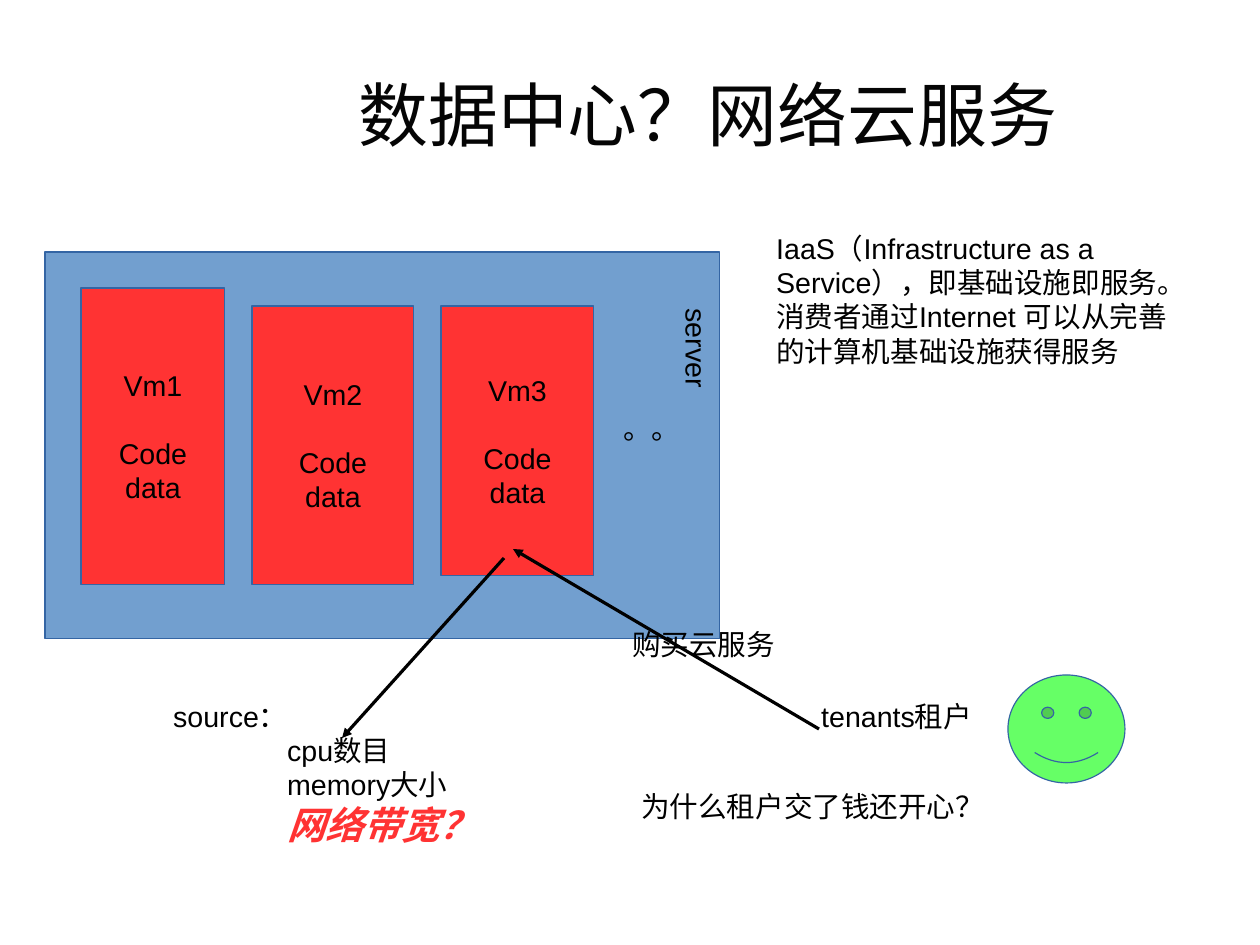
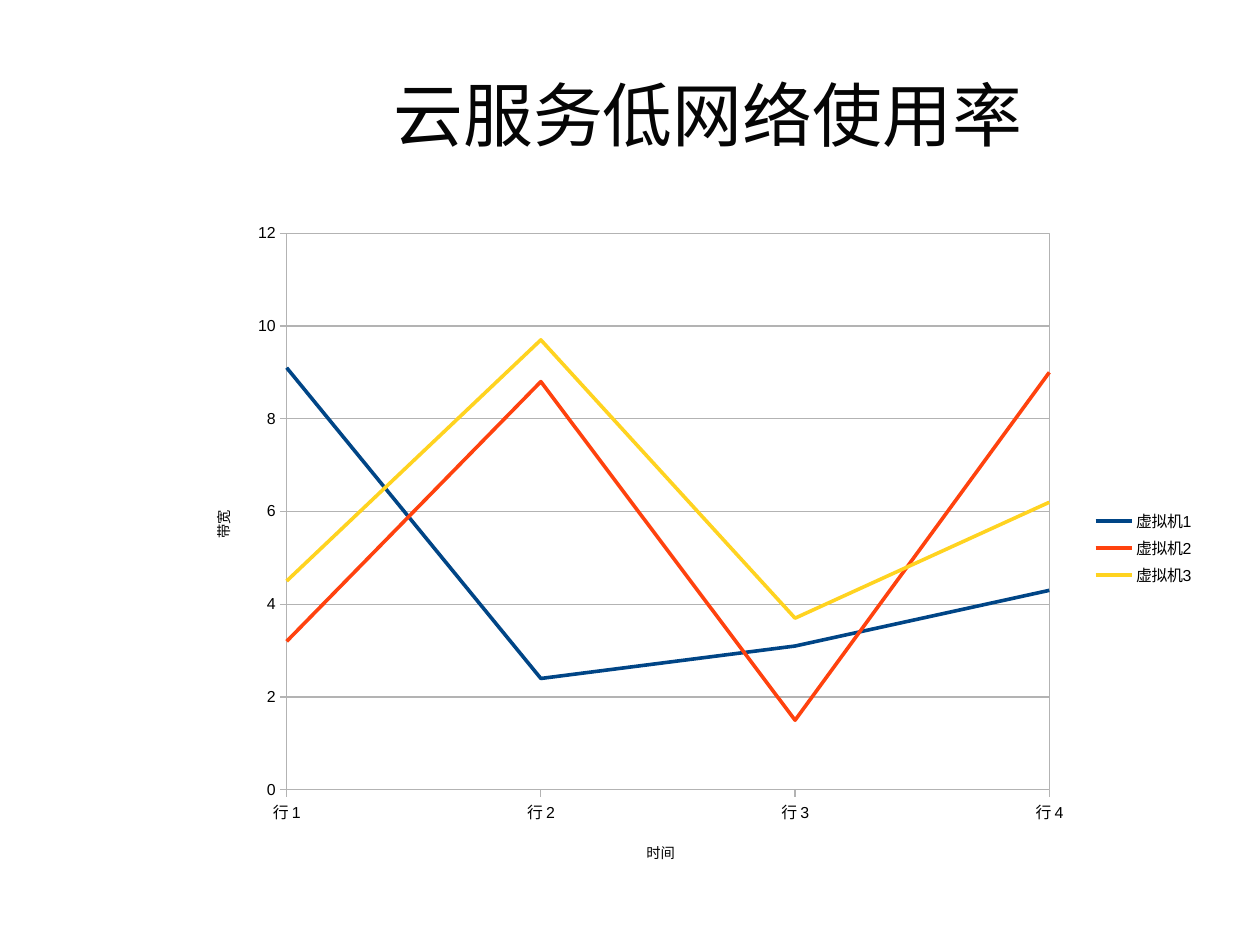
import lxml.etree
import pptx
import pptx.chart.data
import pptx.dml.color
import pptx.enum.chart
import pptx.enum.shapes
import pptx.enum.text
import pptx.oxml
import pptx.oxml.ns
import pptx.util

RGB = pptx.dml.color.RGBColor
Pt = pptx.util.Pt
qn = pptx.oxml.ns.qn
ALIGN = pptx.enum.text.PP_ALIGN
ANCHOR = pptx.enum.text.MSO_ANCHOR
SHAPE = pptx.enum.shapes.MSO_SHAPE

PX = 8000  # EMU per px, 45 px to the centimetre
BLACK = RGB(0x00, 0x00, 0x00)
TITLE_INK = RGB(0x05, 0x05, 0x05)
SERVER_BLUE = RGB(0x72, 0x9F, 0xCF)
OUTLINE = RGB(0x34, 0x65, 0xA4)
RED = RGB(0xFF, 0x33, 0x33)
GREEN = RGB(0x66, 0xFF, 0x66)
GRID = RGB(0xB3, 0xB3, 0xB3)
TITLE_FONT = "Times New Roman"
BODY_FONT = "Arial"
TITLES = ["数据中心？网络云服务", "云服务低网络使用率"]


def add_text(slide, box, text, size=18, color=BLACK, font=BODY_FONT):
    frame = slide.shapes.add_textbox(*[n * PX for n in box]).text_frame
    frame.word_wrap = True
    frame.text = text
    for paragraph in frame.paragraphs:
        for run in paragraph.runs:
            run.font.size, run.font.name = Pt(size), font
            run.font.color.rgb = color
    return frame


def add_filled(slide, kind, box, fill):
    shape = slide.shapes.add_shape(kind, *[n * PX for n in box])
    shape.shadow.inherit = False
    shape.fill.solid()
    shape.fill.fore_color.rgb = fill
    shape.line.color.rgb = OUTLINE
    return shape


prs = pptx.Presentation()
prs.slide_width, prs.slide_height = 1260 * PX, 945 * PX

# Both slides with their titles
slides = []
for title in TITLES:
    slide = prs.slides.add_slide(prs.slide_layouts[6])
    heading = add_text(slide, (202, 36, 1012, 155), title, 44, TITLE_INK, TITLE_FONT)
    heading.margin_left = heading.margin_right = 0
    heading.margin_top = heading.margin_bottom = 0
    heading.vertical_anchor = ANCHOR.MIDDLE
    heading.paragraphs[0].alignment = ALIGN.CENTER
    slides.append(slide)
cloud, usage = slides

# Server with its virtual machines
add_filled(cloud, SHAPE.RECTANGLE, (45, 252, 675, 387), SERVER_BLUE)
machines = [(81, 288, 144, 297), (252, 306, 162, 279), (441, 306, 153, 270)]
for number, box in enumerate(machines, 1):
    frame = add_filled(cloud, SHAPE.RECTANGLE, box, RED).text_frame
    frame.word_wrap = False
    frame.vertical_anchor = ANCHOR.MIDDLE
    frame.text = f"Vm{number}\nCode\ndata"
    for paragraph in frame.paragraphs:
        paragraph.alignment = ALIGN.CENTER
        font = paragraph.runs[0].font
        font.size, font.name = Pt(18), BODY_FONT
        font.color.rgb = BLACK
    frame.paragraphs[1].space_before = Pt(21)

# Sideways label, its margins turned with the text
server_label = add_text(cloud, (639, 297, 81, 216), "server")
server_label._txBody.bodyPr.set("vert", "vert")
server_label.margin_left = server_label.margin_right = Pt(3.6)
server_label.margin_top = server_label.margin_bottom = Pt(7.2)
add_text(cloud, (612, 405, 108, 54), "。。")

# Explanation and tenant
add_text(cloud, (765, 225, 441, 180),
         "IaaS（Infrastructure as a Service），即基础设施即服务。\n"
         "消费者通过Internet 可以从完善的计算机基础设施获得服务")
add_text(cloud, (810, 693, 189, 54), "tenants租户")
add_filled(cloud, SHAPE.SMILEY_FACE, (1008, 675, 117, 108), GREEN)

# Resources of a machine, indented under their heading
resources = add_text(cloud, (162, 693, 558, 194),
                     "source：\ncpu数目\nmemory大小\n网络带宽？")
for paragraph in resources.paragraphs[1:]:
    paragraph._p.get_or_add_pPr().set("marL", str(114 * PX))
bandwidth = resources.paragraphs[-1].runs[0].font
bandwidth.size = Pt(24)
bandwidth.bold = bandwidth.italic = True
bandwidth.color.rgb = RED

# Hairline arrows: tenant to machine, machine to resources
for ends in [(819, 729, 513, 549), (504, 558, 342, 738)]:
    arrow = cloud.shapes.add_connector(
        pptx.enum.shapes.MSO_CONNECTOR.STRAIGHT, *[n * PX for n in ends])
    arrow.line.color.rgb = BLACK
    arrow.line.width = 0
    head = lxml.etree.SubElement(arrow.line._get_or_add_ln(), qn("a:tailEnd"))
    head.set("type", "triangle")
    lxml.etree.SubElement(arrow._element.spPr, qn("a:effectLst"))

add_text(cloud, (630, 783, 549, 54), "为什么租户交了钱还开心？")
add_text(cloud, (621, 621, 189, 54), "购买云服务")

# Bandwidth chart
bandwidths = [
    ("虚拟机1", (9.1, 2.4, 3.1, 4.3), RGB(0x00, 0x45, 0x86)),
    ("虚拟机2", (3.2, 8.8, 1.5, 9), RGB(0xFF, 0x42, 0x0E)),
    ("虚拟机3", (4.5, 9.7, 3.7, 6.2), RGB(0xFF, 0xD3, 0x20)),
]
data = pptx.chart.data.CategoryChartData()
data.categories = [f"行 {n}" for n in range(1, 5)]
for name, values, _ in bandwidths:
    data.add_series(name, values)
chart = usage.shapes.add_chart(
    pptx.enum.chart.XL_CHART_TYPE.LINE,
    *[n * PX for n in (189, 211, 1017, 674)], data).chart
chart.has_title = False
chart.font.size, chart.font.name = Pt(10), BODY_FONT
chart.font.color.rgb = BLACK
chart.has_legend = True
chart.legend.position = pptx.enum.chart.XL_LEGEND_POSITION.RIGHT
chart.legend.include_in_layout = False
chart.plots[0].vary_by_categories = False
for series, (_, _, color) in zip(chart.plots[0].series, bandwidths):
    series.smooth = False
    series.format.line.color.rgb = color
    series.format.line.width = Pt(2.27)

# Axes
time_axis, band_axis = chart.category_axis, chart.value_axis
for axis, caption in [(time_axis, "时间"), (band_axis, "带宽")]:
    axis.major_tick_mark = pptx.enum.chart.XL_TICK_MARK.OUTSIDE
    axis.format.line.color.rgb = GRID
    axis.format.line.width = Pt(0.75)
    frame = axis.axis_title.text_frame
    frame.text = caption
    font = frame.paragraphs[0].runs[0].font
    font.size, font.name, font.bold = Pt(9), BODY_FONT, False
    font.color.rgb = BLACK
band_axis.axis_title.text_frame._txBody.bodyPr.set("rot", "-5400000")
band_axis.minimum_scale, band_axis.maximum_scale = 0, 12
band_axis.major_unit = 2
band_axis.major_gridlines.format.line.color.rgb = GRID
band_axis.major_gridlines.format.line.width = Pt(0.75)

# Lines start on the value axis
value_xml = band_axis._element
for old in value_xml.findall(qn("c:crossBetween")):
    value_xml.remove(old)
cross = lxml.etree.Element(qn("c:crossBetween"), val="midCat")
value_xml.find(qn("c:crosses")).addnext(cross)

# Plot area: fixed place and thin frame
plot_area = chart._chartSpace.chart.plotArea
for old in plot_area.findall(qn("c:layout")):
    plot_area.remove(old)
layout = lxml.etree.Element(qn("c:layout"))
manual = lxml.etree.SubElement(layout, qn("c:manualLayout"))
for tag, value in [("layoutTarget", "inner"), ("xMode", "edge"), ("yMode", "edge"),
                   ("x", "0.096"), ("y", "0.033"), ("w", "0.75"), ("h", "0.826")]:
    lxml.etree.SubElement(manual, qn(f"c:{tag}")).set("val", value)
plot_area.insert(0, layout)
plot_area.append(pptx.oxml.parse_xml(
    f'<c:spPr {pptx.oxml.ns.nsdecls("c", "a")}><a:noFill/><a:ln w="9525">'
    f'<a:solidFill><a:srgbClr val="{GRID}"/></a:solidFill></a:ln></c:spPr>'))

prs.save("out.pptx")
